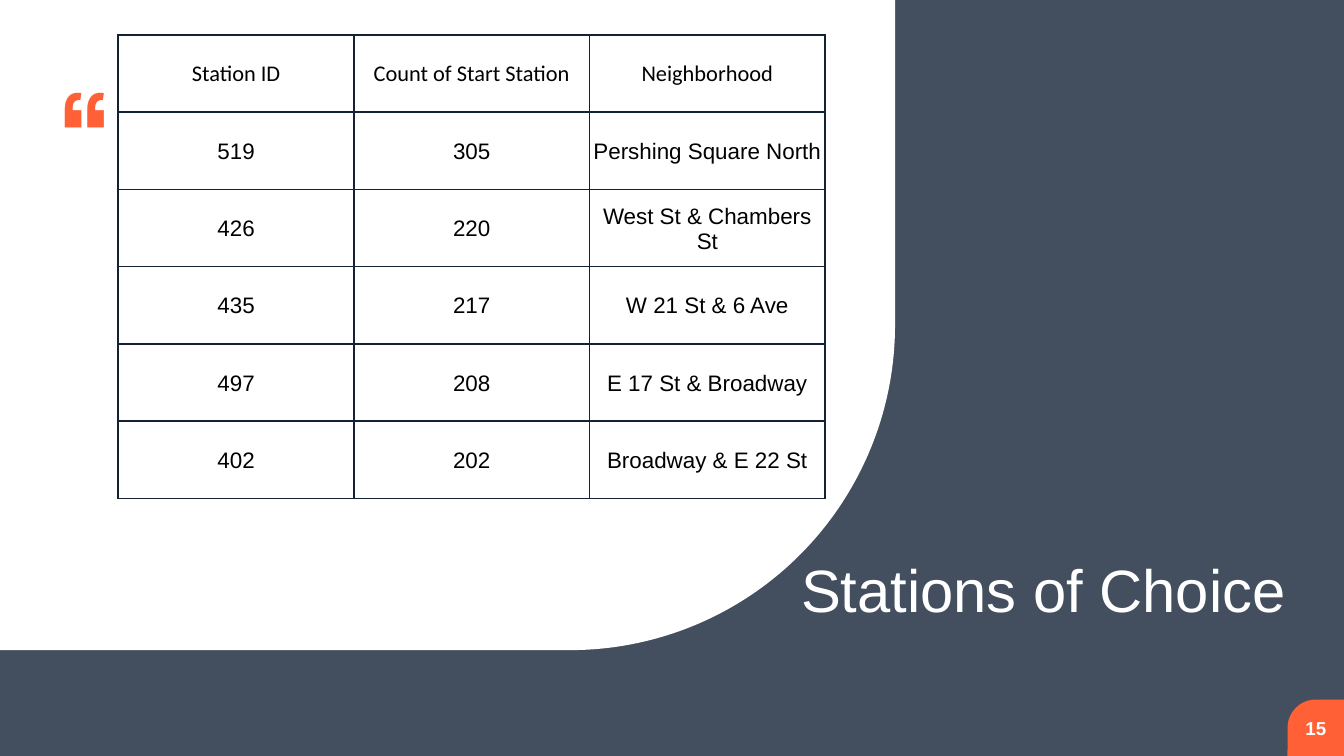
from pptx import Presentation
from pptx.dml.color import RGBColor
from pptx.enum.shapes import MSO_SHAPE as Shape
from pptx.enum.text import MSO_ANCHOR as Anchor, MSO_AUTO_SIZE as AutoSize, PP_ALIGN as Align
from pptx.oxml import parse_xml
from pptx.oxml.ns import nsdecls, qn
from pptx.util import Inches, Pt

WIDTH = 10
HEIGHT = WIDTH * 9 / 16
NAVY, ORANGE, WHITE, BLACK = "142236", "FF6035", "FFFFFF", "000000"
BADGE = 0.42
STATIONS = [
    ("Station ID", "Count of Start Station", "Neighborhood"),
    ("519", "305", "Pershing Square North"),
    ("426", "220", "West St & Chambers St"),
    ("435", "217", "W 21 St & 6 Ave"),
    ("497", "208", "E 17 St & Broadway"),
    ("402", "202", "Broadway & E 22 St"),
]


def color(hex_code):
    return RGBColor.from_string(hex_code)


def inches(box):
    return [Inches(length) for length in box]


def set_all(target, values):
    for name, value in values.items():
        setattr(target, name, value)


def write(frame, text, size, align, hex_code, font="Arial", bold=False):
    para = frame.paragraphs[0]
    para.alignment = align
    span = para.add_run()
    span.text = text
    set_all(span.font, {"name": font, "size": Pt(size), "bold": bold})
    span.font.color.rgb = color(hex_code)


def format_frame(frame, anchor, bottom=0):
    set_all(frame, {"word_wrap": True, "auto_size": AutoSize.NONE,
                    "vertical_anchor": anchor, "margin_left": 0, "margin_right": 0,
                    "margin_top": 0, "margin_bottom": Inches(bottom)})


def add_panel(page, box, kind, hex_code, opacity=100):
    panel = page.shapes.add_shape(kind, *inches(box))
    panel.shadow.inherit = False
    panel.fill.solid()
    panel.fill.fore_color.rgb = color(hex_code)
    panel.line.fill.background()
    if opacity < 100:
        tone = panel._element.spPr.find(".//" + qn("a:srgbClr"))
        tone.append(parse_xml(f'<a:alpha {nsdecls("a")} val="{opacity * 1000}"/>'))
    return panel


def add_rounded_panel(page, box, hex_code, rotation=0):
    """Panel with one round corner: top left, or bottom right when turned."""
    panel = add_panel(page, box, Shape.ROUND_1_RECTANGLE, hex_code)
    panel.adjustments[0] = 0.5
    panel.rotation = rotation
    panel._element.spPr.xfrm.set("flipH", "1")


def add_label(page, box, text, size, anchor, **style):
    frame = page.shapes.add_textbox(*inches(box)).text_frame
    format_frame(frame, anchor)
    write(frame, text, size, Align.CENTER, **style)


def add_backdrop(page, box):
    left, top, width, height = box
    add_panel(page, box, Shape.RECTANGLE, NAVY, opacity=80)
    add_rounded_panel(page, (left, top, width * 0.666, height * 0.86), WHITE, rotation=180)


def add_page_badge(page, box, number):
    add_rounded_panel(page, box, ORANGE)
    add_label(page, box, number, 10, Anchor.MIDDLE, hex_code=WHITE, bold=True)


def add_borders(cell, hex_code):
    for place, side in enumerate("LRTB"):
        cell._tc.get_or_add_tcPr().insert(place, parse_xml(
            f'<a:ln{side} {nsdecls("a")} w="{Pt(1)}"><a:solidFill>'
            f'<a:srgbClr val="{hex_code}"/></a:solidFill></a:ln{side}>'))


def add_station_table(page, box, records):
    height = box[3]
    table = page.shapes.add_table(len(records), len(records[0]), *inches(box)).table
    set_all(table, {"first_row": False, "horz_banding": False})
    for row in table.rows:
        row.height = Inches(height / len(records))
    for row_number, record in enumerate(records):
        font = "Arial" if row_number else "Calibri"
        for column, text in enumerate(record):
            cell = table.cell(row_number, column)
            edge = Inches(0.01)
            set_all(cell, {"vertical_anchor": Anchor.MIDDLE, "margin_left": edge,
                           "margin_right": edge, "margin_top": edge, "margin_bottom": 0})
            cell.fill.background()
            add_borders(cell, NAVY)
            write(cell.text_frame, text, 12, Align.CENTER, BLACK, font)


def place_title(page, box, text):
    title = page.shapes.title
    set_all(title, dict(zip(("left", "top", "width", "height"), inches(box))))
    format_frame(title.text_frame, Anchor.BOTTOM, bottom=0.23)
    write(title.text_frame, text, 32, Align.LEFT, WHITE)
    page.shapes._spTree.append(title._element)  # in front of the backdrop


def main():
    deck = Presentation()
    set_all(deck, {"slide_width": Inches(WIDTH), "slide_height": Inches(HEIGHT)})
    page = deck.slides.add_slide(deck.slide_layouts[5])

    # Backdrop, quotation mark and page number
    add_backdrop(page, (0, 0, WIDTH, HEIGHT))
    add_label(page, (0.35, 0.42, 0.56, 0.71), "“", 72, Anchor.TOP,
              hex_code=ORANGE, font="Manrope", bold=True)
    add_page_badge(page, (WIDTH - BADGE, HEIGHT - BADGE, BADGE, BADGE), "15")

    # Content
    add_station_table(page, (0.88, 0.26, 5.26, 3.45), STATIONS)
    place_title(page, (5.96, 4.28, 7.66, 0.6), "Stations of Choice")
    deck.save("out.pptx")


if __name__ == "__main__":
    main()
